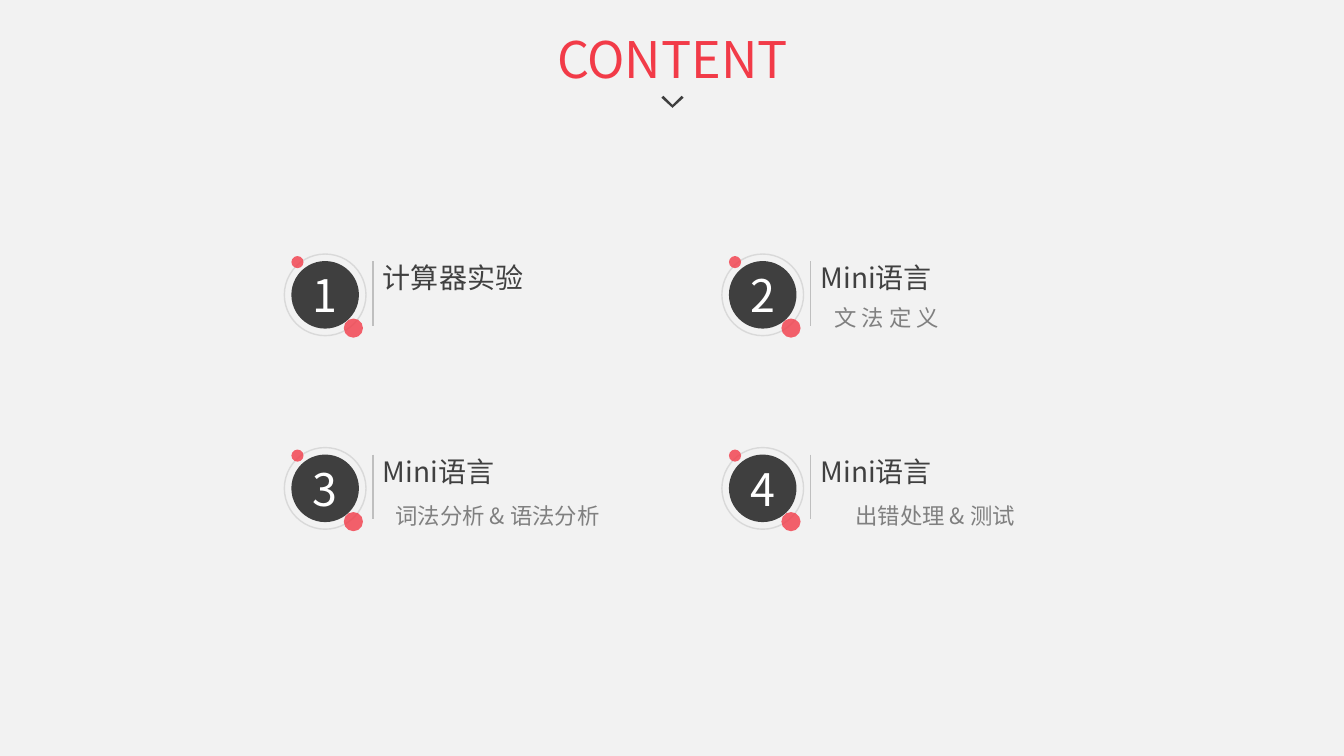
from pptx import Presentation
from pptx import util as u
from pptx.dml.color import RGBColor
from pptx.enum import shapes, text
from pptx.oxml.ns import qn
from lxml import etree

# Content: number, heading, detail, detail offset inside the item
TITLE = "CONTENT"
ITEMS = [
    ("1", "计算器实验", None, None),
    ("2", "Mini语言", "文 法 定 义", (40, 45)),
    ("3", "Mini语言", "词法分析 & 语法分析", (88, 49)),
    ("4", "Mini语言", "出错处理 & 测试", (88, 49)),
]
CHEVRON = [(676, 95), (678, 97), (667, 107), (656, 97), (658, 95), (667, 104)]

FONT = "Noto Sans CJK SC"
RED, DARK, WHITE = "F23B48", "3F3F3F", "FFFFFF"
LEFT, TOP, COLUMN_STEP, ROW_STEP = 282, 252, 434, 192
TEXT_WIDTH = 247


def px(length):
    """One hundredth of an inch per px."""
    return u.Emu(length * 9144)


def colour(value):
    return RGBColor.from_string(value)


def write(shape, words, size=16, color=DARK, align="CENTER", anchor="TOP",
          fit="SHAPE_TO_FIT_TEXT", inset=(10, 5)):
    frame = shape.text_frame
    frame.word_wrap = True
    frame.auto_size = text.MSO_AUTO_SIZE[fit]
    frame.vertical_anchor = text.MSO_ANCHOR[anchor]
    frame.margin_left = frame.margin_right = px(inset[0])
    frame.margin_top = frame.margin_bottom = px(inset[1])
    para = frame.paragraphs[0]
    para.alignment = text.PP_ALIGN[align]
    span = para.add_run()
    span.text = words
    span.font.size = u.Pt(size)
    span.font.name = FONT
    span.font.color.rgb = colour(color)
    # East Asian letters take their own font element
    latin = span.font._element.find(qn("a:latin"))
    east = etree.Element(qn("a:ea"), typeface=FONT)
    latin.addnext(east)


def circle(parent, x, y, size, fill=None, line=None, alpha=None):
    shape = parent.add_shape(shapes.MSO_SHAPE.OVAL, px(x), px(y), px(size), px(size))
    shape.shadow.inherit = False
    if fill:
        shape.fill.solid()
        shape.fill.fore_color.rgb = colour(fill)
    else:
        shape.fill.background()
    if line:
        shape.line.color.rgb = colour(line)
        shape.line.width = u.Pt(1)
    else:
        shape.line.fill.background()
    if alpha:
        tint = shape.fill._xPr.find(".//" + qn("a:srgbClr"))
        etree.SubElement(tint, qn("a:alpha"), val=str(alpha * 1000))
    return shape


def add_item(page, x, y, number, heading, detail, offset):
    group = page.shapes.add_group_shape().shapes

    # Numbered badge with its ring and dots
    badge = circle(group, x + 7, y + 7, 67, fill=DARK)
    write(badge, number, size=32, color=WHITE, anchor="MIDDLE", fit="NONE", inset=(0, 0))
    circle(group, x, y, 81, line="D9D9D9")
    circle(group, x + 59, y + 64, 19, fill=RED, alpha=80)
    circle(group, x + 7, y + 2, 12, fill=RED, alpha=80)

    # Heading and detail
    box = group.add_textbox(px(x + 88), px(y + 2), px(TEXT_WIDTH), px(44))
    write(box, heading, size=20, color="404040", align="JUSTIFY")
    if detail:
        dx, dy = offset
        box = group.add_textbox(px(x + dx), px(y + dy), px(TEXT_WIDTH), px(37))
        write(box, detail, color="808080")

    # Divider
    divider = group.add_connector(shapes.MSO_CONNECTOR.STRAIGHT,
                                  px(x + 88), px(y + 7), px(x + 88), px(y + 71))
    divider.line.color.rgb = colour("BFBFBF")
    divider.line.width = u.Pt(1)
    etree.SubElement(divider._element.spPr, qn("a:effectLst"))


def main():
    deck = Presentation()
    deck.slide_width, deck.slide_height = px(1333), px(750)
    page = deck.slides.add_slide(deck.slide_layouts[5])
    page.background.fill.solid()
    page.background.fill.fore_color.rgb = colour("F2F2F2")

    # Items in a grid of two columns
    for index, item in enumerate(ITEMS):
        row, column = divmod(index, 2)
        add_item(page, LEFT + column * COLUMN_STEP, TOP + row * ROW_STEP, *item)

    # Title
    title = page.shapes.title
    title.left, title.top, title.width, title.height = map(px, (524, 23, 286, 71))
    write(title, TITLE, size=36, color=RED)

    # Chevron under the title
    builder = page.shapes.build_freeform(*CHEVRON[0], scale=px(1))
    builder.add_line_segments(CHEVRON[1:], close=True)
    chevron = builder.convert_to_shape()
    chevron.shadow.inherit = False
    chevron.fill.solid()
    chevron.fill.fore_color.rgb = colour(DARK)
    chevron.line.fill.background()

    deck.save("out.pptx")


if __name__ == "__main__":
    main()
